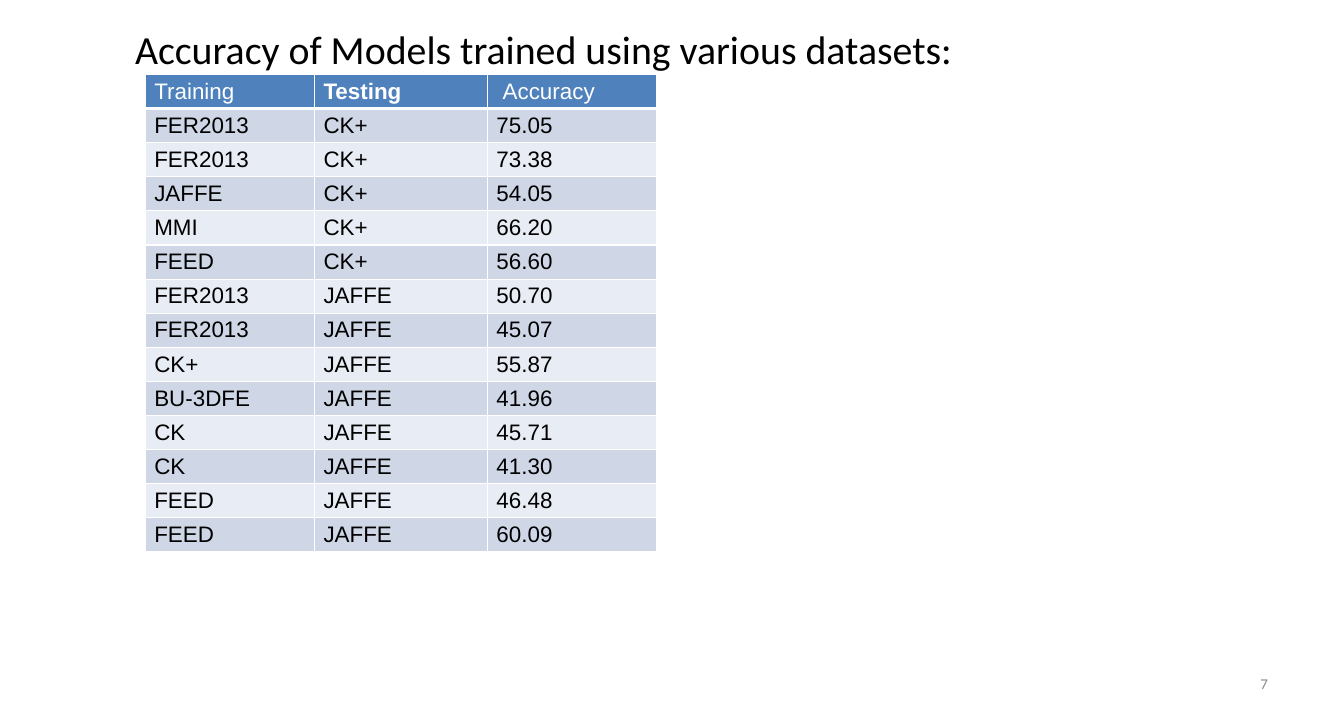
from dataclasses import dataclass

from lxml.etree import SubElement
from pptx import Presentation
from pptx.dml.color import RGBColor as RGB
from pptx.enum.text import MSO_ANCHOR as Anchor, MSO_AUTO_SIZE as AutoSize, PP_ALIGN as Align
from pptx.oxml.ns import qn
from pptx.util import Pt


@dataclass(frozen=True)
class Theme:
    heading_font: str = "Calibri"
    table_font: str = "Arial"
    title_size: int = 32
    table_size: int = 18
    number_size: int = 12
    black: str = "000000"
    white: str = "FFFFFF"
    grey: str = "888888"
    header_fill: str = "4F81BD"
    band_fills: tuple = ("CFD7E7", "E8ECF4")


THEME = Theme()
COLUMN_WIDTHS = (136, 139, 136)
ROW_HEIGHT = 27.4
HEADINGS = ("Training", "Testing", "Accuracy")
RESULTS = (
    ("FER2013", "CK+", "75.05"),
    ("FER2013", "CK+", "73.38"),
    ("JAFFE", "CK+", "54.05"),
    ("MMI", "CK+", "66.20"),
    ("FEED", "CK+", "56.60"),
    ("FER2013", "JAFFE", "50.70"),
    ("FER2013", "JAFFE", "45.07"),
    ("CK+", "JAFFE", "55.87"),
    ("BU-3DFE", "JAFFE", "41.96"),
    ("CK", "JAFFE", "45.71"),
    ("CK", "JAFFE", "41.30"),
    ("FEED", "JAFFE", "46.48"),
    ("FEED", "JAFFE", "60.09"),
)


def set_attributes(target, values):
    for name, value in values.items():
        setattr(target, name, value)


def write_text(text_frame, text, font, size, color, bold=False, align=Align.LEFT):
    paragraph = text_frame.paragraphs[0]
    paragraph.alignment = align
    run = paragraph.add_run()
    run.text = text
    set_attributes(run.font, {"name": font, "size": Pt(size), "bold": bold})
    run.font.color.rgb = RGB.from_string(color)


def place(shape, left, top, width, height):
    set_attributes(shape, {"left": Pt(left), "top": Pt(top),
                           "width": Pt(width), "height": Pt(height)})


def format_frame(text_frame, margin_left=7.2):
    set_attributes(text_frame, {
        "word_wrap": True, "auto_size": AutoSize.NONE, "vertical_anchor": Anchor.MIDDLE,
        "margin_left": Pt(margin_left), "margin_right": Pt(7.2),
        "margin_top": Pt(3.6), "margin_bottom": Pt(3.6)})


def add_title(slide, text):
    title = slide.shapes.title
    place(title, 18, 24, 773, 30)
    format_frame(title.text_frame, margin_left=90.5)
    write_text(title.text_frame, text, THEME.heading_font, THEME.title_size, THEME.black)


def add_borders(cell, widths):
    properties = cell._tc.get_or_add_tcPr()
    for side, width in widths.items():
        line = SubElement(properties, qn(f"a:ln{side}"), w=str(Pt(width)))
        fill = SubElement(line, qn("a:solidFill"))
        SubElement(fill, qn("a:srgbClr"), val=THEME.white)


def add_results_table(slide):
    rows = (HEADINGS, *RESULTS)
    frame = slide.shapes.add_table(
        len(rows), len(HEADINGS), Pt(116.8), Pt(59.9),
        Pt(sum(COLUMN_WIDTHS)), Pt(ROW_HEIGHT * len(rows)))
    table = frame.table
    for column, width in zip(table.columns, COLUMN_WIDTHS):
        column.width = Pt(width)
    for row_index, values in enumerate(rows):
        table.rows[row_index].height = Pt(ROW_HEIGHT)
        is_header = row_index == 0
        fill = THEME.header_fill if is_header else THEME.band_fills[(row_index - 1) % 2]
        color = THEME.white if is_header else THEME.black
        # A heavier rule separates the header from the results
        borders = {"L": 1, "R": 1, "T": 3 if row_index == 1 else 1, "B": 3 if is_header else 1}
        for column_index, value in enumerate(values):
            cell = table.cell(row_index, column_index)
            add_borders(cell, borders)
            cell.fill.solid()
            cell.fill.fore_color.rgb = RGB.from_string(fill)
            # The accuracy heading is slightly indented
            indent = 5 if value == "Accuracy" else 0
            set_attributes(cell, {"margin_left": Pt(7.2 + indent), "margin_right": Pt(7.2),
                                  "margin_top": Pt(3.6), "margin_bottom": Pt(3.6)})
            write_text(cell.text_frame, value, THEME.table_font, THEME.table_size,
                       color, bold=value == "Testing")


def add_slide_number(slide, number):
    box = slide.shapes.add_textbox(Pt(774), Pt(533.5), Pt(252), Pt(31))
    format_frame(box.text_frame)
    write_text(box.text_frame, number, THEME.heading_font, THEME.number_size,
               THEME.grey, align=Align.RIGHT)


def main():
    presentation = Presentation()
    set_attributes(presentation, {"slide_width": Pt(1080), "slide_height": Pt(576)})
    slide = presentation.slides.add_slide(presentation.slide_layouts.get_by_name("Title Only"))
    add_title(slide, "Accuracy of Models trained using various datasets:")
    add_results_table(slide)
    add_slide_number(slide, "7")
    presentation.save("out.pptx")


if __name__ == "__main__":
    main()
